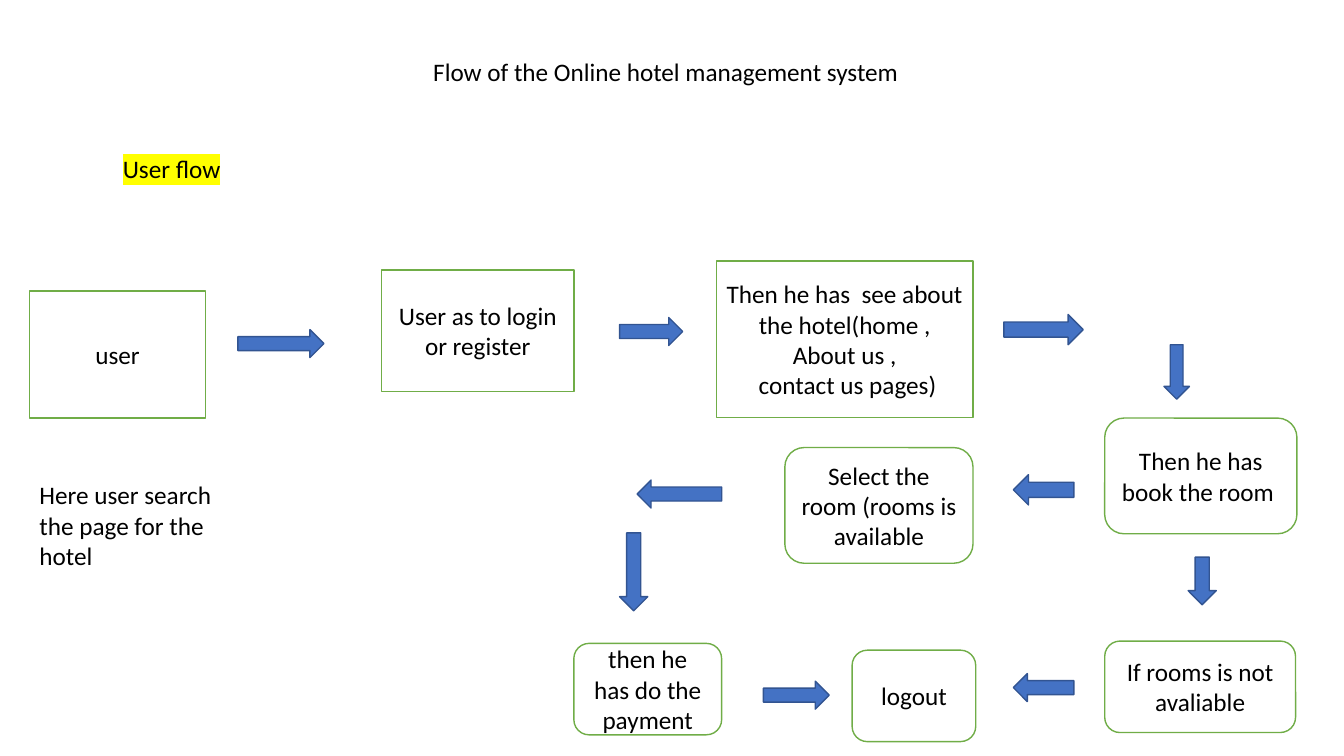
from dataclasses import dataclass

from lxml.etree import SubElement
from pptx import Presentation
from pptx.dml.color import RGBColor
from pptx.enum.shapes import MSO_SHAPE
from pptx.enum.text import MSO_ANCHOR, PP_ALIGN
from pptx.oxml.ns import qn
from pptx.shapes.autoshape import Shape
from pptx.util import Inches, Pt

COLORS = {
    "paper": "FFFFFF",
    "ink": "000000",
    "green": "70AD47",
    "blue": "4472C4",
    "navy": "325491",
    "mark": "FFFF00",
}
FONT = "Calibri"
RECT, ROUND = MSO_SHAPE.RECTANGLE, MSO_SHAPE.ROUNDED_RECTANGLE
RIGHT, LEFT, DOWN = MSO_SHAPE.RIGHT_ARROW, MSO_SHAPE.LEFT_ARROW, MSO_SHAPE.DOWN_ARROW


@dataclass(frozen=True)
class Area:
    """A place on the slide, in percent of its width and height."""
    x: float
    y: float
    w: float
    h: float


@dataclass(frozen=True)
class Step:
    """A box of the flow."""
    kind: MSO_SHAPE
    area: Area
    text: str


@dataclass(frozen=True)
class Arrow:
    """A block arrow between two steps."""
    kind: MSO_SHAPE
    area: Area


@dataclass(frozen=True)
class Label:
    """Free text, highlighted or not."""
    area: Area
    text: str
    mark: bool = False


STEPS = [
    Step(RECT, Area(2.2, 38.5, 13.1, 16.8), "user"),
    Step(RECT, Area(28.4, 35.7, 14.3, 16.1), "User as to login or register"),
    Step(RECT, Area(53.3, 34.5, 19.1, 20.7),
         "Then he has  see about the hotel(home ,\nAbout us ,\n contact us pages)"),
    Step(ROUND, Area(82.2, 55.3, 14.3, 15.3), "Then he has book the room "),
    Step(ROUND, Area(58.4, 59.2, 14, 15.3), "Select the room (rooms is available"),
    Step(ROUND, Area(42.7, 85.1, 11, 12.1), "then he has do the payment"),
    Step(ROUND, Area(82.2, 84.8, 14.2, 12.1), "If rooms is not avaliable"),
    Step(ROUND, Area(63.4, 86, 9.2, 12.1), "logout"),
]
ARROWS = [
    Arrow(RIGHT, Area(17.7, 43.6, 6.4, 3.7)),
    Arrow(RIGHT, Area(46.1, 42, 4.7, 3.7)),
    Arrow(RIGHT, Area(74.7, 41.6, 5.9, 4)),
    Arrow(DOWN, Area(86.6, 45.6, 1.9, 7.2)),
    Arrow(LEFT, Area(75.4, 62.8, 4.5, 4)),
    Arrow(DOWN, Area(88.4, 73.7, 2.1, 6.3)),
    Arrow(LEFT, Area(47.4, 63.5, 6.3, 3.7)),
    Arrow(DOWN, Area(46.1, 70.5, 2.1, 10.3)),
    Arrow(RIGHT, Area(56.8, 90.1, 4.9, 3.7)),
    Arrow(LEFT, Area(75.4, 89.1, 4.5, 3.7)),
]
LABELS = [
    Label(Area(31.5, 6.8, 37.9, 5.3), "Flow of the Online hotel management system"),
    Label(Area(8.4, 19.6, 18.6, 5.3), "User flow", mark=True),
    Label(Area(2.2, 62.8, 17, 17.5), "Here user search the page for the hotel"),
]

deck = Presentation()
deck.slide_width, deck.slide_height = Inches(13.33), Inches(7.5)
slide = deck.slides.add_slide(deck.slide_layouts[6])


def tint(name: str) -> RGBColor:
    """Look up a colour by name."""
    return RGBColor.from_string(COLORS[name])


def place(area: Area) -> tuple[int, int, int, int]:
    """Turn percent shares into slide lengths."""
    wide, high = deck.slide_width / 100, deck.slide_height / 100
    return (round(area.x * wide), round(area.y * high),
            round(area.w * wide), round(area.h * high))


def write(shape: Shape, text: str, align: PP_ALIGN, mark: bool = False) -> None:
    """Set the text of a shape and format its runs."""
    frame = shape.text_frame
    frame.text = text
    frame.word_wrap = True
    for para in frame.paragraphs:
        para.alignment = align
        for run in para.runs:
            run.font.size = Pt(18)
            run.font.color.rgb = tint("ink")
            if mark:
                glow = SubElement(run.font._element, qn("a:highlight"))
                SubElement(glow, qn("a:srgbClr"), val=COLORS["mark"])
            run.font.name = FONT


def block(kind: MSO_SHAPE, area: Area, fill: str, line: str) -> Shape:
    """Draw a filled and outlined preset shape."""
    shape = slide.shapes.add_shape(kind, *place(area))
    shape.shadow.inherit = False
    shape.fill.solid()
    shape.fill.fore_color.rgb = tint(fill)
    shape.line.color.rgb = tint(line)
    shape.line.width = Pt(1)
    return shape


def draw_step(step: Step) -> None:
    """Draw a box with centred text."""
    shape = block(step.kind, step.area, "paper", "green")
    write(shape, step.text, PP_ALIGN.CENTER)
    shape.text_frame.vertical_anchor = MSO_ANCHOR.MIDDLE


def draw_arrow(arrow: Arrow) -> None:
    """Draw a block arrow."""
    block(arrow.kind, arrow.area, "blue", "navy")


def draw_label(label: Label) -> None:
    """Draw free text."""
    box = slide.shapes.add_textbox(*place(label.area))
    write(box, label.text, PP_ALIGN.LEFT, label.mark)


for step in STEPS:
    draw_step(step)
for arrow in ARROWS:
    draw_arrow(arrow)
for label in LABELS:
    draw_label(label)

deck.save("out.pptx")
